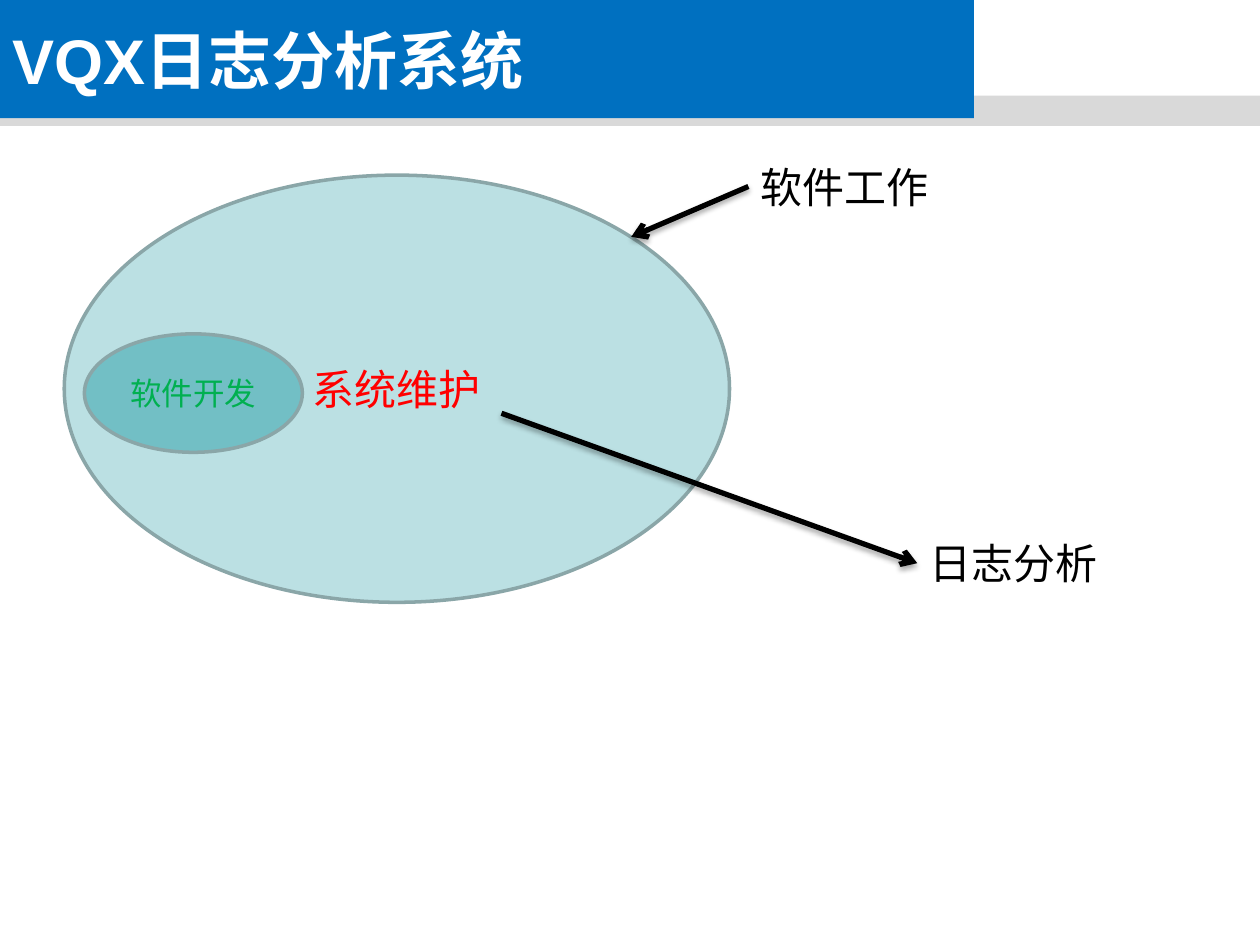
from lxml import etree
from pptx import Presentation, util as u
from pptx.dml.color import RGBColor
from pptx.enum import shapes, text
from pptx.oxml import parse_xml
from pptx.oxml.ns import qn

WIDTH, HEIGHT = 10, 7.5
CJK = "Noto Sans CJK JP"
WHITE = RGBColor(0xFF, 0xFF, 0xFF)
BLACK = RGBColor(0, 0, 0)
GREY = RGBColor(0xD9, 0xD9, 0xD9)
BLUE = RGBColor(0, 0x70, 0xC0)
PALE_TEAL = RGBColor(0xBB, 0xE0, 0xE3)
TEAL = RGBColor(0x72, 0xBF, 0xC5)
OUTLINE = RGBColor(0x8A, 0xA6, 0xA8)
RED = RGBColor(0xFF, 0, 0)
GREEN = RGBColor(0, 0xB0, 0x50)
SHADOW = (
    '<a:effectLst xmlns:a="http://schemas.openxmlformats.org/drawingml/2006/main">'
    '<a:outerShdw blurRad="40000" dist="23000" dir="5400000" rotWithShape="0">'
    '<a:srgbClr val="000000"><a:alpha val="35000"/></a:srgbClr>'
    '</a:outerShdw></a:effectLst>'
)


def add_run(tf, content, size, color, font=CJK, bold=False, align=text.PP_ALIGN.LEFT):
    """Add one styled run to the first paragraph."""
    p = tf.paragraphs[0]
    p.alignment = align
    r = p.add_run()
    r.text = content
    r.font.name, r.font.size, r.font.bold = font, u.Pt(size), bold
    r.font.color.rgb = color
    etree.SubElement(r.font._element, qn("a:ea"), typeface=CJK)


def add_filled(s, kind, box, fill, outline=None):
    """Add a flat preset shape and return its text frame."""
    sp = s.shapes.add_shape(kind, *map(u.Inches, box))
    sp.shadow.inherit = False
    sp.fill.solid()
    sp.fill.fore_color.rgb = fill
    if outline is None:
        sp.line.fill.background()
    else:
        sp.line.color.rgb = outline
        sp.line.width = u.Pt(2)
    tf = sp.text_frame
    tf.word_wrap = True
    tf.vertical_anchor = text.MSO_ANCHOR.MIDDLE
    return tf


def add_ellipse(s, box, fill, content, size, color):
    """Add an outlined ellipse with a centred caption."""
    tf = add_filled(s, shapes.MSO_SHAPE.OVAL, box, fill, OUTLINE)
    add_run(tf, content, size, color, align=text.PP_ALIGN.CENTER)


def add_label(s, box, content, wrap):
    """Add a black label that fits its text."""
    tf = s.shapes.add_textbox(*map(u.Inches, box)).text_frame
    tf.word_wrap = wrap
    tf.auto_size = text.MSO_AUTO_SIZE.SHAPE_TO_FIT_TEXT
    add_run(tf, content, 24, BLACK)


def add_arrow(s, start, end):
    """Add a thick black arrow with a soft shadow."""
    sp = s.shapes.add_connector(
        shapes.MSO_CONNECTOR.STRAIGHT, *map(u.Inches, start + end))
    sp.line.color.rgb = BLACK
    sp.line.width = u.Pt(3)
    etree.SubElement(sp.line._get_or_add_ln(), qn("a:tailEnd"), type="arrow")
    sp._element.spPr.append(parse_xml(SHADOW))


def add_header(s, title):
    """Add the grey strip and the blue title bar."""
    rect = shapes.MSO_SHAPE.RECTANGLE
    add_filled(s, rect, (0, 0.76, WIDTH, 0.24), GREY)
    tf = add_filled(s, rect, (0, 0, 0.773 * WIDTH, HEIGHT / 8), BLUE)
    add_run(tf, title, 36, WHITE, font="Arial", bold=True)


def main():
    """Build the slide and save it."""
    prs = Presentation()
    prs.slide_width, prs.slide_height = u.Inches(WIDTH), u.Inches(HEIGHT)
    s = prs.slides.add_slide(prs.slide_layouts[6])
    add_header(s, "VQX日志分析系统")
    add_ellipse(s, (0.51, 1.39, 5.28, 3.39), PALE_TEAL, "系统维护", 24, RED)
    add_ellipse(s, (0.67, 2.65, 1.73, 0.94), TEAL, "软件开发", 18, GREEN)
    add_label(s, (5.94, 1.23, 1.57, 0.5), "软件工作", True)
    add_arrow(s, (5.94, 1.48), (5.01, 1.88))
    add_label(s, (7.28, 4.22, 1.55, 0.5), "日志分析", False)
    add_arrow(s, (3.98, 3.28), (7.28, 4.47))
    prs.save("out.pptx")


if __name__ == "__main__":
    main()
